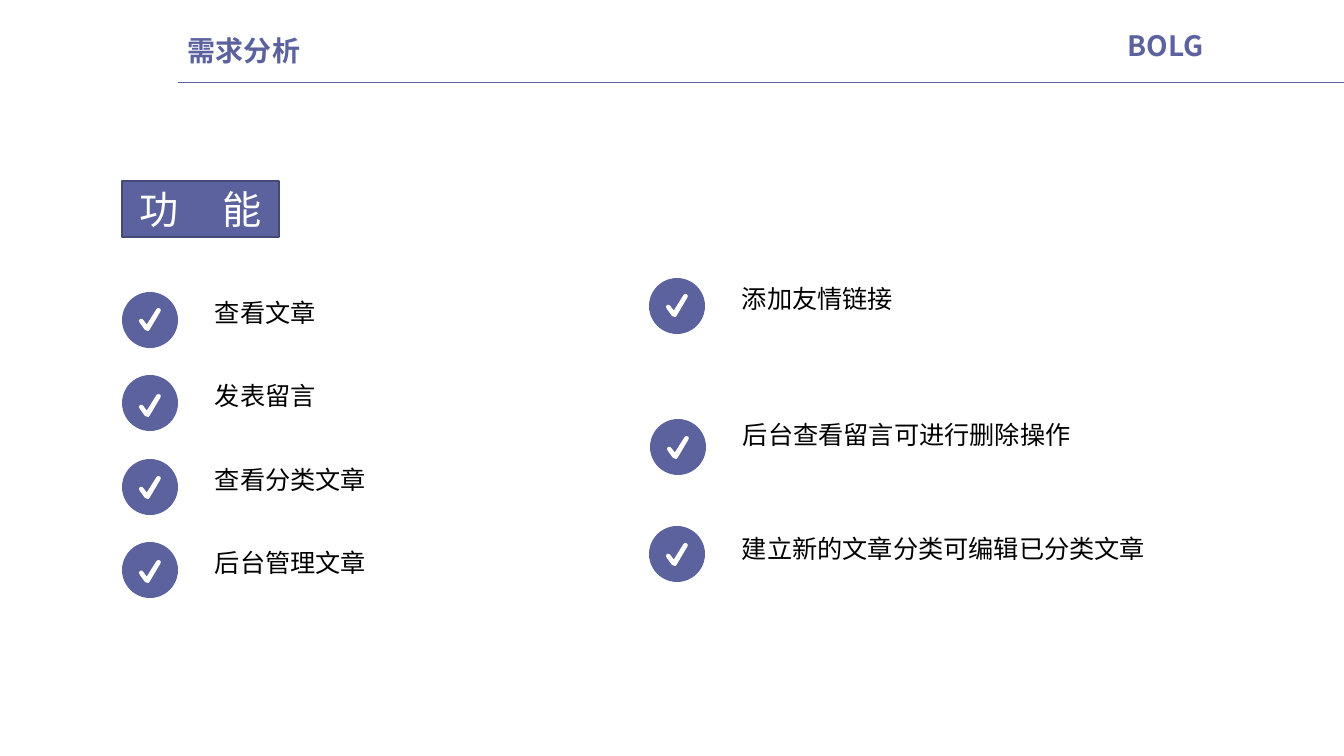
import lxml.etree
import pptx
import pptx.dml.color
import pptx.enum.shapes
import pptx.enum.text
import pptx.oxml.ns
import pptx.util

PX = 9071  # EMU per px
FONT = "Noto Sans CJK SC"
VIOLET = "5C629E"
ALIGN = pptx.enum.text.PP_ALIGN
MIDDLE = pptx.enum.text.MSO_ANCHOR.MIDDLE
GROW = pptx.enum.text.MSO_AUTO_SIZE.SHAPE_TO_FIT_TEXT
SHAPE = pptx.enum.shapes.MSO_SHAPE


def paint(colour_format, hex_colour):
    colour_format.rgb = pptx.dml.color.RGBColor.from_string(hex_colour)


def write(paragraph, text, size, colour, bold=False):
    """Add a run to the paragraph, in the slide's font for Latin and Chinese."""
    run = paragraph.add_run()
    run.text = text
    looks = {"name": FONT, "size": pptx.util.Pt(size), "bold": bold}
    for key, value in looks.items():
        setattr(run.font, key, value)
    paint(run.font.color, colour)
    east_asian = lxml.etree.SubElement(run.font._element, pptx.oxml.ns.qn("a:ea"))
    east_asian.set("typeface", FONT)
    return run


deck = pptx.Presentation()
deck.slide_width = 1344 * PX
deck.slide_height = 756 * PX
slide = deck.slides.add_slide(deck.slide_layouts[6])
shapes = slide.shapes

# Header
rule = shapes.add_connector(
    pptx.enum.shapes.MSO_CONNECTOR.STRAIGHT, 178 * PX, 82 * PX, 1344 * PX, 82 * PX)
paint(rule.line.color, VIOLET)
rule.line.width = pptx.util.Pt(0.5)
lxml.etree.SubElement(rule._element.spPr, pptx.oxml.ns.qn("a:effectLst"))

headings = [
    ("BOLG", (1118, 18, 99, 47),
     {"word_wrap": False, "auto_size": GROW}, {"line_spacing": 1.2}),
    ("需求分析", (178, 13, 283, 74),
     {"word_wrap": True}, {"alignment": ALIGN.JUSTIFY}),
]
for words, place, frame_format, paragraph_format in headings:
    heading = shapes.add_textbox(*[n * PX for n in place]).text_frame
    heading.vertical_anchor = MIDDLE
    for key, value in frame_format.items():
        setattr(heading, key, value)
    for key, value in paragraph_format.items():
        setattr(heading.paragraphs[0], key, value)
    write(heading.paragraphs[0], words, 20, VIOLET, bold=True)

# Section label
section = shapes.add_shape(SHAPE.RECTANGLE, 122 * PX, 181 * PX, 157 * PX, 56 * PX)
section.shadow.inherit = False
section.fill.solid()
paint(section.fill.fore_color, VIOLET)
paint(section.line.color, "444975")
section.line.width = pptx.util.Pt(1)
section.text_frame.vertical_anchor = MIDDLE
section_line = section.text_frame.paragraphs[0]
section_line.alignment = ALIGN.CENTER
write(section_line, "功", 28, "FFFFFF")
gap = write(section_line, " ", 28, "FFFFFF")
gap.font._element.set("spc", "2500")
write(section_line, "能", 28, "FFFFFF")

# Features: label, circle left, circle top, tick top, label top, label width, wrap
features = [
    ("查看文章", 122, 292, 308, 292, 122, False),
    ("发表留言", 122, 375, 394, 375, 122, False),
    ("查看分类文章", 122, 459, 476, 459, 173, False),
    ("后台管理文章", 122, 542, 560, 542, 173, False),
    ("添加友情链接", 649, 278, 294, 278, 494, True),
    ("后台查看留言可进行删除操作", 650, 419, 436, 414, 494, True),
    ("建立新的文章分类可编辑已分类文章", 649, 526, 543, 528, 494, True),
]
# Tick outline in tenths of a px
tick_outline = [
    (60, 220), (8, 148), (0, 130), (4, 118), (14, 108), (28, 108), (42, 118), (78, 166),
    (172, 16), (184, 4), (198, 0), (212, 8), (218, 20), (214, 36), (106, 218), (98, 228),
]
for label, left, top, tick_top, label_top, label_width, wrap in features:
    circle = shapes.add_shape(SHAPE.OVAL, left * PX, top * PX, 56 * PX, 56 * PX)
    pen = shapes.build_freeform(90, 230, scale=PX / 10)
    pen.add_line_segments(tick_outline, close=True)
    tick = pen.convert_to_shape((left + 17) * PX, tick_top * PX)
    for part, colour in ((circle, VIOLET), (tick, "FFFFFF")):
        part.shadow.inherit = False
        part.fill.solid()
        paint(part.fill.fore_color, colour)
        part.line.fill.background()

    feature = shapes.add_textbox(
        (left + 83) * PX, label_top * PX, label_width * PX, 40 * PX).text_frame
    feature.word_wrap = wrap
    feature.auto_size = GROW
    write(feature.paragraphs[0], label, 18, "000000")

deck.save("out.pptx")
